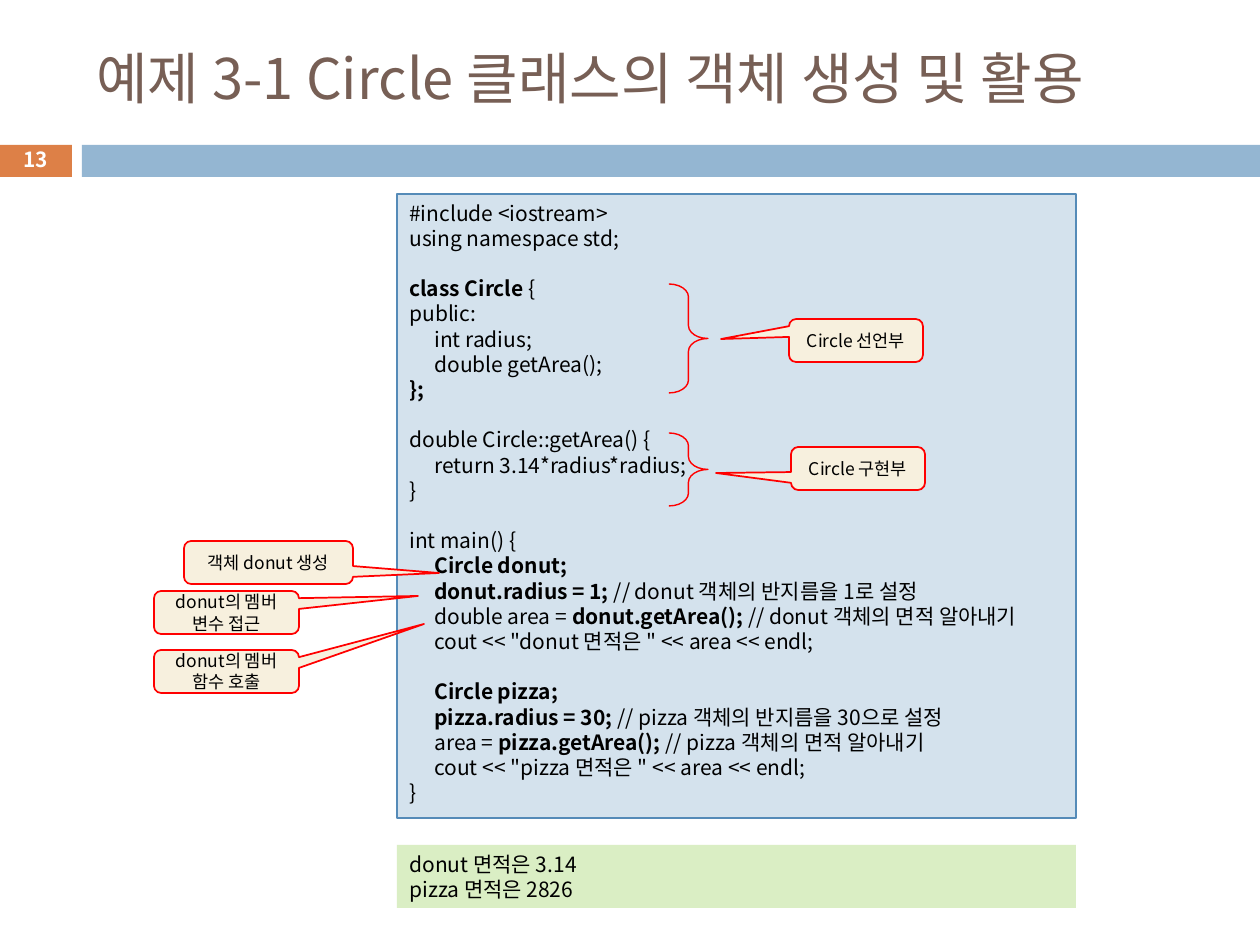
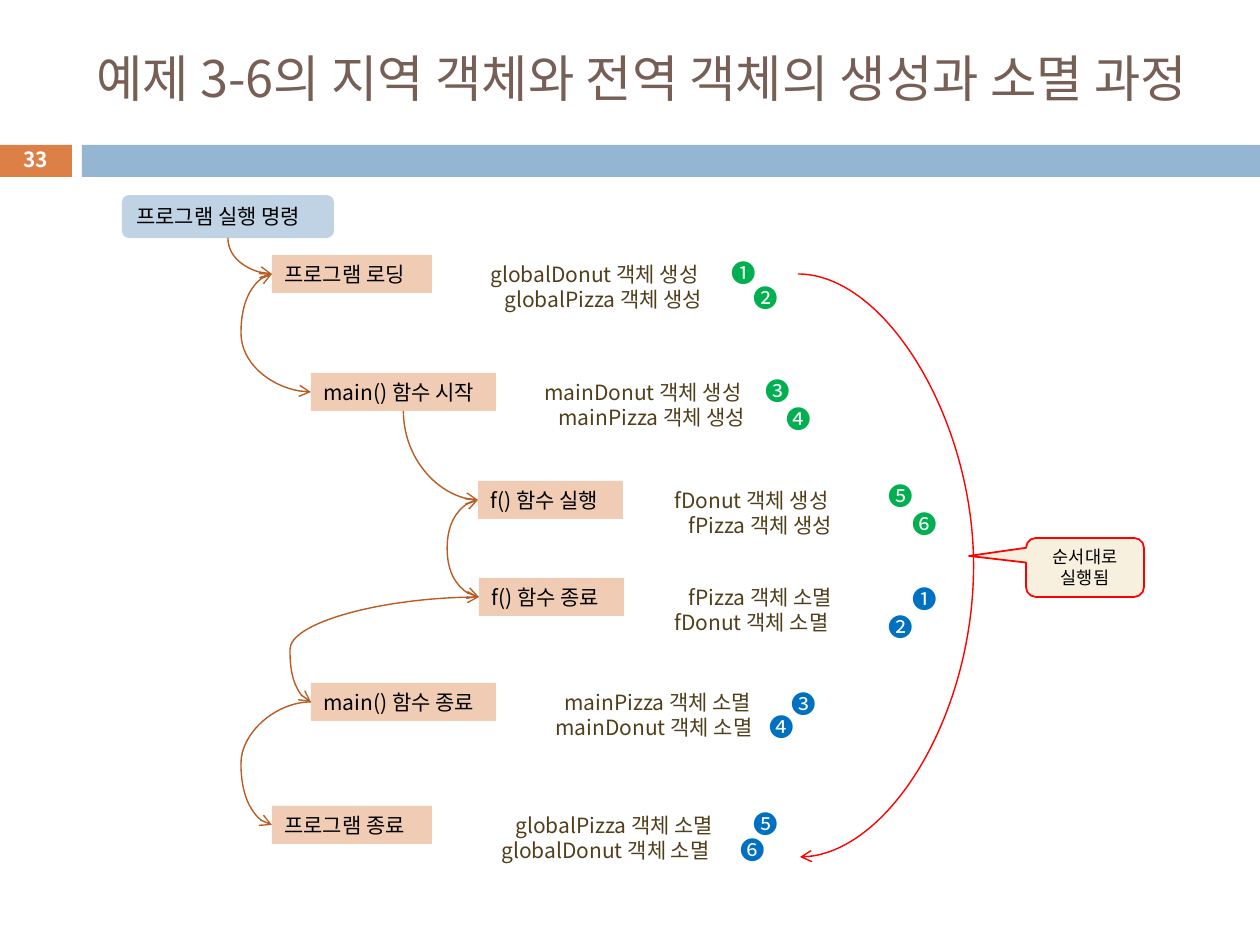
from lxml import etree
from pptx import Presentation
from pptx.dml.color import RGBColor
from pptx.enum.shapes import MSO_CONNECTOR, MSO_SHAPE
from pptx.enum.text import MSO_ANCHOR, PP_ALIGN
from pptx.oxml.ns import qn
from pptx.util import Pt

PX = 914400 / 126
FONT = "Noto Sans CJK KR"
LINE_HEIGHT = 1.2
CODE_SIZE = 12
CODE_INDENT = 25

RECT = MSO_SHAPE.RECTANGLE
CALLOUT = MSO_SHAPE.ROUNDED_RECTANGULAR_CALLOUT
BRACE = MSO_SHAPE.RIGHT_BRACE
COMMAND = MSO_SHAPE.FLOWCHART_ALTERNATE_PROCESS
CURVE = MSO_CONNECTOR.CURVE
LEFT, CENTER = PP_ALIGN.LEFT, PP_ALIGN.CENTER
TOP, MIDDLE = MSO_ANCHOR.TOP, MSO_ANCHOR.MIDDLE
LEFT_SITE, BOTTOM_SITE = 1, 2

BLACK, WHITE, RED = "000000", "FFFFFF", "FF0000"
TITLE, ORANGE, BLUE_BAND = "775F55", "DD8047", "94B6D2"
CODE_FILL, CODE_LINE, OUTPUT_FILL = "D4E2ED", "558BB8", "DAEEC4"
NOTE_FILL, STEP_FILL, COMMAND_FILL = "F7F0DE", "F1CCB5", "BFD3E4"
LABEL, FLOW, CREATED, DESTROYED = "513E1B", "B95B22", "00B050", "0070C0"

# Example 3-1: a leading tab indents a line, bars enclose bold text
CODE = """#include <iostream>
using namespace std;

|class Circle |{
public:
	int radius;
	double getArea();
|};|

double Circle::getArea() {
	return 3.14*radius*radius;
}

int main() {
	|Circle donut;|
	|donut.radius = 1; |// donut 객체의 반지름을 1로 설정
	double area = |donut.getArea();| // donut 객체의 면적 알아내기
	cout << "donut 면적은 " << area << endl;

	|Circle pizza;|
	|pizza.radius = 30; |// pizza 객체의 반지름을 30으로 설정
	area = |pizza.getArea(); |// pizza 객체의 면적 알아내기
	cout << "pizza 면적은 " << area << endl;
}""".split("\n")
OUTPUT = ["donut 면적은 3.14", "pizza 면적은 2826"]

# Callouts: text, box, tip
CODE_NOTES = [
    ("객체 donut 생성", (184, 541, 169, 43), (439, 573)),
    ("donut의 멤버 변수 접근", (154, 591, 145, 43), (418, 596)),
    ("donut의 멤버 함수 호출", (154, 650, 145, 43), (424, 624)),
    ("Circle 선언부", (789, 319, 134, 43), (721, 339)),
    ("Circle 구현부", (791, 447, 134, 43), (716, 473)),
]
ORDER_NOTE = ("순서대로 실행됨", (1026, 538, 118, 59), (969, 556))
BRACES = [(669, 284, 39, 109), (669, 433, 39, 73)]

# Example 3-6: step, left, top, width, label left,
# then (label, indent, badge left, badge top) for each object
STEPS = [
    ("프로그램 로딩", 272, 255, 160, 478,
     [("globalDonut 객체 생성", 0, 719, 252), ("globalPizza 객체 생성", 14, 741, 277)]),
    ("main() 함수 시작", 311, 373, 185, 532,
     [("mainDonut 객체 생성", 0, 753, 370), ("mainPizza 객체 생성", 14, 774, 398)]),
    ("f() 함수 실행", 478, 481, 145, 662,
     [("fDonut 객체 생성", 0, 876, 475), ("fPizza 객체 생성", 14, 900, 503)]),
    ("f() 함수 종료", 479, 578, 145, 662,
     [("fPizza 객체 소멸", 14, 900, 578), ("fDonut 객체 소멸", 0, 876, 606)]),
    ("main() 함수 종료", 311, 683, 185, 543,
     [("mainPizza 객체 소멸", 9, 779, 683), ("mainDonut 객체 소멸", 0, 757, 706)]),
    ("프로그램 종료", 272, 806, 160, 489,
     [("globalPizza 객체 소멸", 14, 741, 803), ("globalDonut 객체 소멸", 0, 728, 829)]),
]
BADGES = {CREATED: "❶❷❸❹❺❻", DESTROYED: "❶❷❸❹❺❻"}

# Curves between the left sides of steps: from, to, bend x, arrow ends
STEP_CURVES = [
    (0, 1, 241, ("head", "tail")),
    (3, 2, 447, ("head", "tail")),
    (3, 4, 290, ("head", "tail")),
    (4, 5, 241, ("tail",)),
]


def px(*lengths):
    return [round(length * PX) for length in lengths]


def rgb(value):
    return RGBColor.from_string(value)


def write(box, lines, size, color, align=LEFT, anchor=TOP, bold=None, indents=None):
    """Fill a box; an empty line becomes space before the next paragraph."""
    frame = box.text_frame
    frame.word_wrap = True
    frame.vertical_anchor = anchor
    para, gap = frame.paragraphs[0], 0
    for number, line in enumerate(lines):
        if not line:
            gap += size * LINE_HEIGHT
            continue
        if number:
            para = frame.add_paragraph()
        para.alignment = align
        if gap:
            para.space_before = Pt(gap)
            gap = 0
        para.font.size = Pt(size)
        para.font.bold = bold
        para.font.color.rgb = rgb(color)
        para.font.name = FONT
        properties = para._p.pPr
        etree.SubElement(properties.find(qn("a:defRPr")), qn("a:ea"), typeface=FONT)
        indent = indents[number] if indents else 0
        if indent:
            properties.set("marL", str(px(indent)[0]))
            properties.set("indent", "0")
        for part, text in enumerate(line.split("|")):
            if text:
                span = para.add_run()
                span.text = text
                if part % 2:
                    span.font.bold = True


def add_text(page, area, lines, size, color, **style):
    box = page.shapes.add_textbox(*px(*area))
    write(box, lines, size, color, **style)
    return box


def add_box(page, kind, area, fill=None, line=None, width=1):
    box = page.shapes.add_shape(kind, *px(*area))
    box.shadow.inherit = False
    if fill:
        box.fill.solid()
        box.fill.fore_color.rgb = rgb(fill)
    else:
        box.fill.background()
    if line:
        box.line.color.rgb = rgb(line)
        box.line.width = Pt(width)
    else:
        box.line.fill.background()
    return box


def add_note(page, text, area, tip):
    note = add_box(page, CALLOUT, area, NOTE_FILL, RED)
    left, top, width, height = area
    note.adjustments[0] = (tip[0] - left) / width - 0.5
    note.adjustments[1] = (tip[1] - top) / height - 0.5
    write(note, [text], 10, BLACK, align=CENTER, anchor=MIDDLE)


def style_curve(curve, color, ends, bend=None):
    """Colour a curve and add arrows; without a bend it is a quarter turn."""
    curve.line.color.rgb = rgb(color)
    curve.line.width = Pt(0.79)
    properties = curve._element.spPr
    geometry = properties.find(qn("a:prstGeom"))
    if bend is None:
        geometry.set("prst", "curvedConnector2")
    else:
        share = (px(bend)[0] - curve.begin_x) / (curve.end_x - curve.begin_x)
        etree.SubElement(geometry.find(qn("a:avLst")), qn("a:gd"),
                         name="adj1", fmla=f"val {round(share * 100000)}")
    for end in ends:
        etree.SubElement(properties.find(qn("a:ln")), qn(f"a:{end}End"), type="arrow")
    etree.SubElement(properties, qn("a:effectLst"))


def join(page, start, start_site, finish, finish_site, ends, bend=None):
    curve = page.shapes.add_connector(CURVE, 0, 0, 0, 0)
    curve.begin_connect(start, start_site)
    curve.end_connect(finish, finish_site)
    style_curve(curve, FLOW, ends, bend)


def add_page(deck, title, size, number):
    page = deck.slides.add_slide(deck.slide_layouts[6])
    add_box(page, RECT, (-1, 145, 73, 32), ORANGE)
    add_box(page, RECT, (82, 145, 1178, 32), BLUE_BAND)
    add_text(page, (84, 31, 1124, 93), [title], size, TITLE, anchor=MIDDLE)
    add_text(page, (-1, 142, 73, 34), [number], 11.9, WHITE,
             align=CENTER, anchor=MIDDLE, bold=True)
    return page


def build_code_page(deck):
    page = add_page(deck, "예제 3-1 Circle 클래스의 객체 생성 및 활용", 32, "13")
    code = add_box(page, RECT, (397, 194, 679, 624), CODE_FILL, CODE_LINE, 0.75)
    write(code, [line.lstrip("\t") for line in CODE], CODE_SIZE, BLACK,
          indents=[CODE_INDENT * line.startswith("\t") for line in CODE])
    output = add_box(page, RECT, (397, 845, 679, 63), OUTPUT_FILL)
    write(output, OUTPUT, CODE_SIZE, BLACK)
    for note in CODE_NOTES:
        add_note(page, *note)
    for area in BRACES:
        brace = add_box(page, BRACE, area, line=RED, width=0.79)
        brace.adjustments[0] = 0.33


def build_lifetime_page(deck):
    page = add_page(deck, "예제 3-6의 지역 객체와 전역 객체의 생성과 소멸 과정", 28.8, "33")
    command = add_box(page, COMMAND, (122, 195, 212, 43), COMMAND_FILL)
    write(command, ["프로그램 실행 명령"], 12, BLACK)

    # Steps with their labels and numbered badges
    boxes = []
    badges = {color: iter(digits) for color, digits in BADGES.items()}
    for text, left, top, width, label_left, objects in STEPS:
        box = add_box(page, RECT, (left, top, width, 38), STEP_FILL)
        write(box, [text], 12, BLACK)
        boxes.append(box)
        add_text(page, (label_left, top, 335, 63), [item[0] for item in objects],
                 12, LABEL, indents=[item[1] for item in objects])
        for label, _, badge_left, badge_top in objects:
            color = CREATED if label.endswith("생성") else DESTROYED
            add_text(page, (badge_left, badge_top, 48, 43), [next(badges[color])], 14, color)

    # Flow between the steps
    join(page, boxes[0], LEFT_SITE, command, BOTTOM_SITE, ("head",))
    join(page, boxes[2], LEFT_SITE, boxes[1], BOTTOM_SITE, ("head",))
    for start, finish, bend, ends in STEP_CURVES:
        join(page, boxes[start], LEFT_SITE, boxes[finish], LEFT_SITE, ends, bend)

    # Overall order
    order = page.shapes.add_connector(CURVE, *px(798, 274, 800, 857))
    style_curve(order, RED, ("tail",), 975)
    add_note(page, *ORDER_NOTE)


def main():
    deck = Presentation()
    deck.slide_width, deck.slide_height = px(1260, 945)
    build_code_page(deck)
    build_lifetime_page(deck)
    deck.save("out.pptx")


if __name__ == "__main__":
    main()
